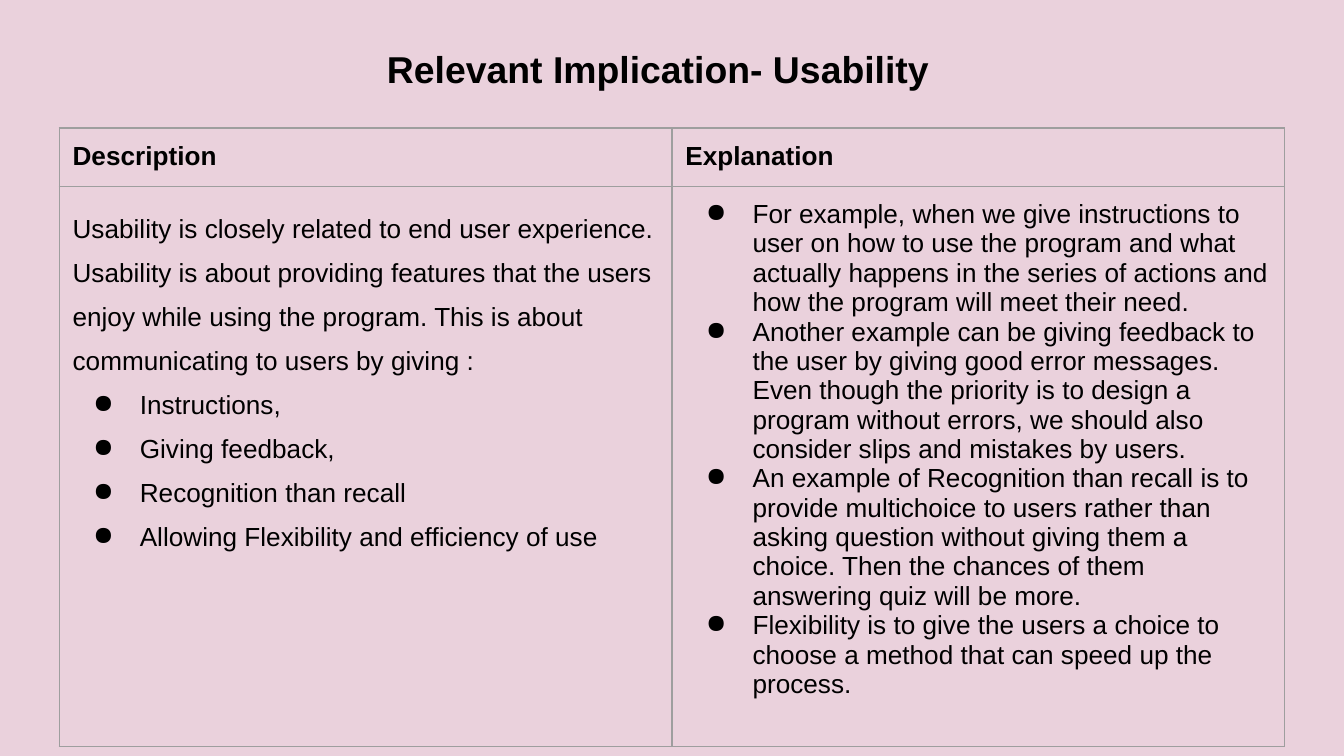
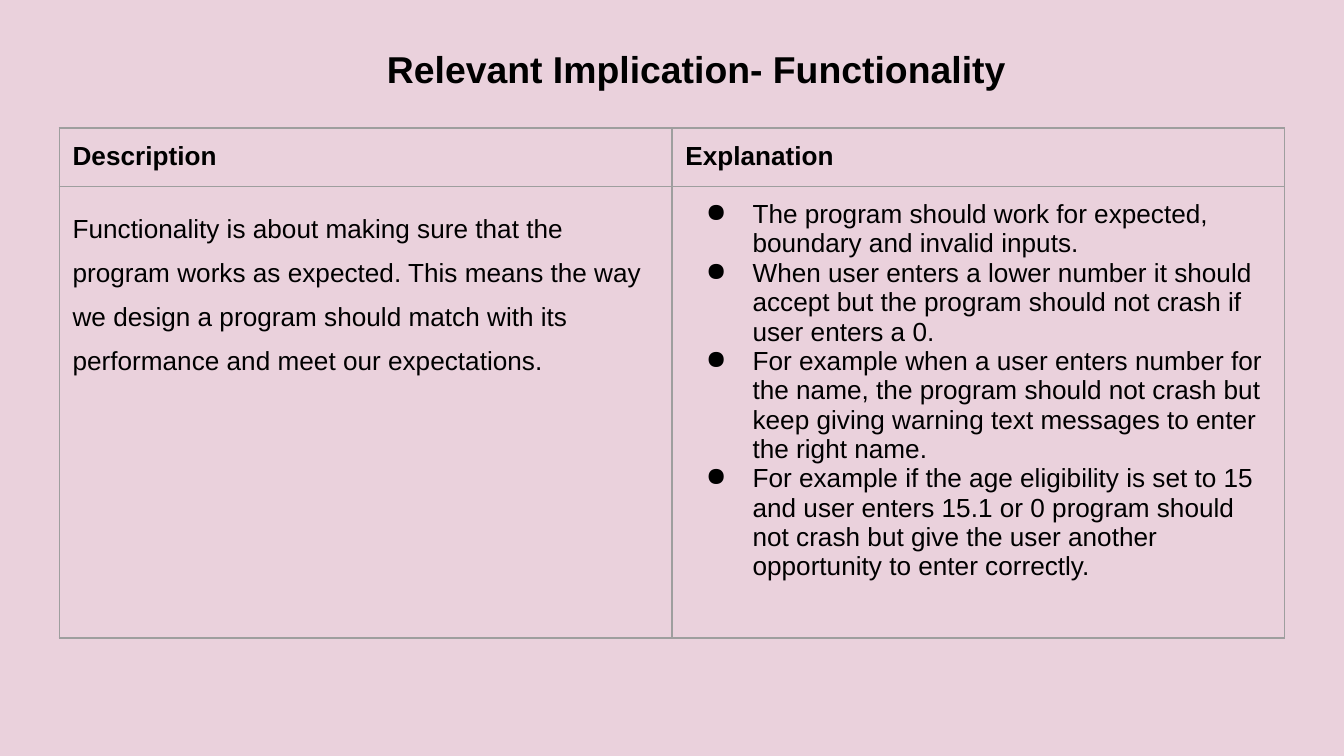
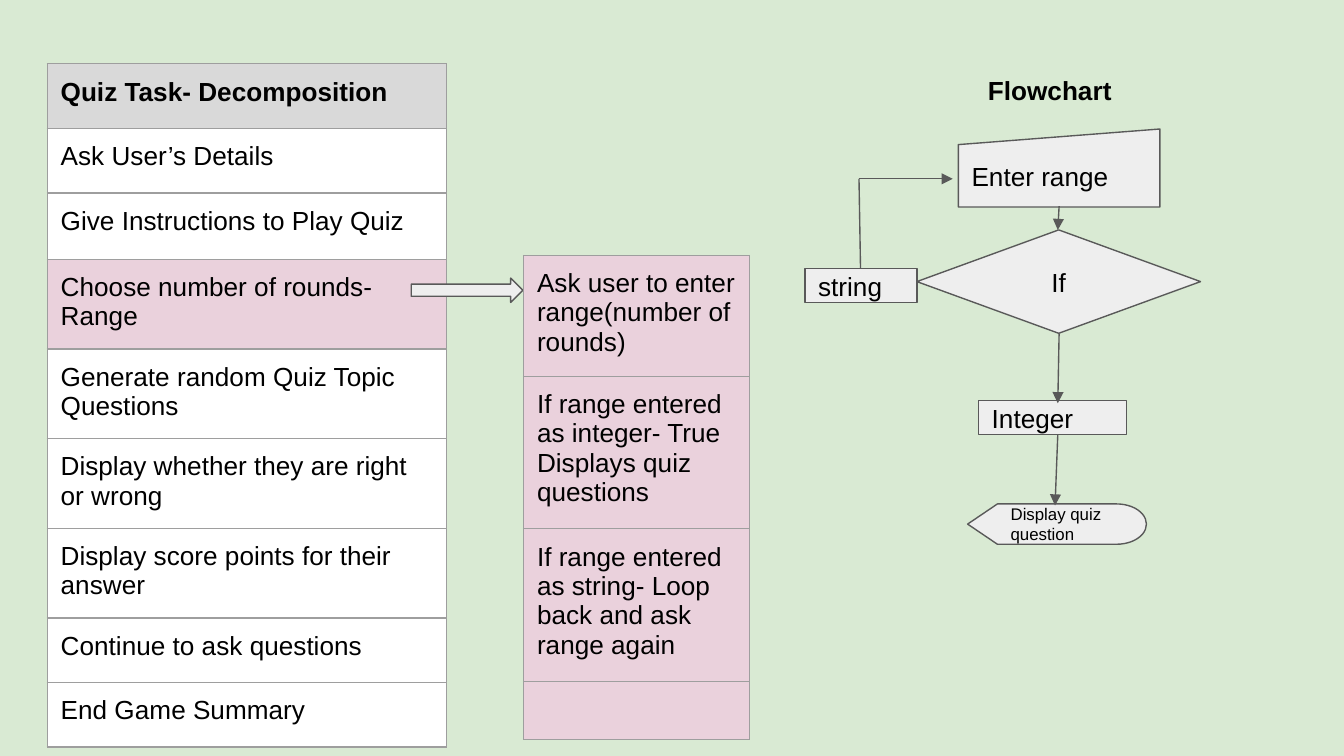
from lxml.etree import SubElement
from pptx import Presentation
from pptx.dml.color import RGBColor
from pptx.enum.shapes import MSO_CONNECTOR as Line, MSO_SHAPE as Shape
from pptx.enum.text import MSO_ANCHOR as Anchor, PP_ALIGN as Align
from pptx.oxml.ns import qn
from pptx.util import Pt

PINK, GREEN, GREY, WHITE = "EAD1DC", "D9EAD3", "D9D9D9", "FFFFFF"
BLACK, NODE, OUTLINE, BORDER = "000000", "EEEEEE", "595959", "9E9E9E"
FONT, BODY, TITLE = "Arial", 14, 20
INSET, LINE_WIDTH = 7.2, 0.75


def color(hex_code):
    """Turn a hex string into a colour."""
    return RGBColor.from_string(hex_code)


def set_insets(target):
    """Give a frame or a cell the shared margin on all sides."""
    target.margin_left = target.margin_right = Pt(INSET)
    target.margin_top = target.margin_bottom = Pt(INSET)


def write(frame, text, size=BODY, bold=False, align=Align.LEFT, spacing=None,
          bullet=False, first=True):
    """Write one formatted paragraph, in a new one unless it is the first."""
    paragraph = frame.paragraphs[0] if first else frame.add_paragraph()
    paragraph.alignment = align
    if spacing:
        paragraph.line_spacing = spacing
    if bullet:
        properties = paragraph._p.get_or_add_pPr()
        properties.set("marL", str(Pt(36)))
        properties.set("indent", str(Pt(-25)))
        tint = SubElement(properties, qn("a:buClr"))
        SubElement(tint, qn("a:srgbClr"), val=BLACK)
        SubElement(properties, qn("a:buChar"), char="●")
    if not text:
        SubElement(paragraph._p, qn("a:endParaRPr"), sz=str(size * 100))
        return
    run = paragraph.add_run()
    run.text = text
    run.font.name, run.font.size, run.font.bold = FONT, Pt(size), bold
    run.font.color.rgb = color(BLACK)


def add_label(slide, box, text, **style):
    """Place a text box."""
    label = slide.shapes.add_textbox(*map(Pt, box)).text_frame
    label.word_wrap = True
    set_insets(label)
    write(label, text, **style)


def add_node(slide, kind, box, text="", **style):
    """Place an outlined grey shape, with its text in the middle."""
    node = slide.shapes.add_shape(kind, *map(Pt, box))
    node.shadow.inherit = False
    node.fill.solid()
    node.fill.fore_color.rgb = color(NODE)
    node.line.color.rgb = color(OUTLINE)
    node.line.width = Pt(LINE_WIDTH)
    if text:
        node.text_frame.word_wrap = True
        node.text_frame.vertical_anchor = Anchor.MIDDLE
        set_insets(node.text_frame)
        write(node.text_frame, text, **style)


def add_link(slide, start, end, arrow=True):
    """Draw a straight line, with an arrowhead at its end if wanted."""
    link = slide.shapes.add_connector(Line.STRAIGHT, *map(Pt, start + end))
    link.line.color.rgb = color(OUTLINE)
    link.line.width = Pt(LINE_WIDTH)
    if arrow:
        SubElement(link.line._get_or_add_ln(), qn("a:tailEnd"), type="triangle")
    SubElement(link._element.spPr, qn("a:effectLst"))


def style_cell(cell, fill=None):
    """Set the margins, borders and fill of a table cell."""
    set_insets(cell)
    properties = cell._tc.get_or_add_tcPr()
    for side in ("lnL", "lnR", "lnT", "lnB"):
        border = SubElement(properties, qn("a:" + side), w=str(Pt(LINE_WIDTH)))
        paint = SubElement(border, qn("a:solidFill"))
        SubElement(paint, qn("a:srgbClr"), val=BORDER)
    if fill:
        cell.fill.solid()
        cell.fill.fore_color.rgb = color(fill)
    else:
        cell.fill.background()


def add_grid(slide, left, top, width, heights, columns=1):
    """Place a plain table with equal columns and the given row heights."""
    grid = slide.shapes.add_table(len(heights), columns, Pt(left), Pt(top),
                                  Pt(width), Pt(sum(heights))).table
    grid.first_row = grid.horz_banding = False
    for row, height in zip(grid.rows, heights):
        row.height = Pt(height)
    return grid


def add_steps(slide, left, top, width, steps):
    """Place a one-column table of (lines, height, fill, bold) steps."""
    grid = add_grid(slide, left, top, width, [step[1] for step in steps])
    for index, (lines, _, fill, bold) in enumerate(steps):
        cell = grid.cell(index, 0)
        style_cell(cell, fill)
        for number, line in enumerate(lines):
            write(cell.text_frame, line, bold=bold, first=number == 0)


def new_slide(deck, background):
    """Add a blank slide with a plain background."""
    slide = deck.slides.add_slide(deck.slide_layouts[6])
    slide.background.fill.solid()
    slide.background.fill.fore_color.rgb = color(background)
    return slide


def implication_slide(deck, topic, title_width, body_height, intro, points,
                      examples):
    """Build a slide that describes and explains one implication."""
    slide = new_slide(deck, PINK)
    add_label(slide, (200.2, 17.3, title_width, 32.4),
              "Relevant Implication- " + topic, size=TITLE, bold=True)
    grid = add_grid(slide, 31.7, 68.6, 656.6, (30, body_height), 2)
    for cell in grid.iter_cells():
        style_cell(cell)
    for column, heading in enumerate(("Description", "Explanation")):
        write(grid.cell(0, column).text_frame, heading, bold=True)
    description = grid.cell(1, 0).text_frame
    write(description, intro, spacing=1.5)
    for point in points:
        write(description, point, spacing=1.5, bullet=True, first=False)
    for index, example in enumerate(examples):
        write(grid.cell(1, 1).text_frame, example, bullet=True,
              first=index == 0)


def add_flowchart(slide, left, top):
    """Draw the range check flowchart from its top left corner."""
    def box(x, y, width, height):
        return left + x, top + y, width, height

    def point(x, y):
        return left + x, top + y

    add_label(slide, box(91, 0, 93.6, 31.7), "Flowchart", bold=True)
    add_node(slide, Shape.FLOWCHART_DECISION, box(60, 90.8, 152, 55.4), "If",
             align=Align.CENTER)
    add_node(slide, Shape.FLOWCHART_MANUAL_INPUT, box(82.2, 36.7, 108, 41.8),
             "Enter range")
    add_node(slide, Shape.RECTANGLE, box(93, 182.3, 79.2, 18), "Integer")
    add_node(slide, Shape.RECTANGLE, box(0, 111.6, 60, 18), "string")
    add_node(slide, Shape.FLOWCHART_DISPLAY, box(87.2, 237.6, 95.8, 21.6),
             "Display quiz question", size=9)
    add_link(slide, point(136.2, 146.2), point(135.5, 183.6))
    add_link(slide, point(29.8, 111.6), point(29, 63.4), arrow=False)
    add_link(slide, point(29, 63.4), point(79.2, 63.4))
    add_link(slide, point(136.2, 78), point(135.5, 90.8))
    add_link(slide, point(135.5, 200.3), point(134, 238.4))


def decomposition_slide(deck):
    """Build the slide with the quiz steps and the flowchart."""
    slide = new_slide(deck, GREEN)
    single, double = 34.6, 45.8
    add_steps(slide, 25.3, 34.2, 213.8, [
        (["Quiz Task- Decomposition"], single, GREY, True),
        (["Ask User’s Details"], single, WHITE, False),
        (["Give Instructions to Play Quiz"], 35.5, WHITE, False),
        (["Choose number of rounds- Range"], double, PINK, False),
        (["Generate random Quiz Topic Questions"], double, WHITE, False),
        (["Display whether they are right or wrong"], double, WHITE, False),
        (["Display score points for their answer"], double, WHITE, False),
        (["Continue to ask questions"], single, WHITE, False),
        (["End Game Summary"], single, WHITE, False),
    ])
    add_node(slide, Shape.RIGHT_ARROW, (220.3, 149, 59.8, 13))
    add_steps(slide, 280.5, 136.8, 121, [
        (["Ask user to enter range(number of rounds)"], 61.5, PINK, False),
        (["If range entered as integer- True", "Displays quiz questions"],
         77.3, PINK, False),
        (["If range entered as string- Loop back and ask range again"],
         77.3, PINK, False),
        ([""], 30, PINK, False),
    ])
    add_flowchart(slide, 431.2, 32.4)


def main():
    """Build and save the deck."""
    deck = Presentation()
    deck.slide_width, deck.slide_height = Pt(720), Pt(405)
    implication_slide(
        deck, "Usability", 334, 282,
        "Usability is closely related to end user experience. Usability is "
        "about providing features that the users enjoy while using the "
        "program. This is about communicating to users by giving :",
        ["Instructions,", "Giving feedback,", "Recognition than recall",
         "Allowing Flexibility and efficiency of use"],
        ["For example, when we give instructions to user on how to use the "
         "program and what actually happens in the series of actions and how "
         "the program will meet their need.",
         "Another example can be giving feedback to the user by giving good "
         "error messages. Even though the priority is to design a program "
         "without errors, we should also consider slips and mistakes by "
         "users.",
         "An example of Recognition than recall is to provide multichoice to "
         "users rather than asking question without giving them a choice. "
         "Then the chances of them answering quiz will be more.",
         "Flexibility is to give the users a choice to choose a method that "
         "can speed up the process."])
    implication_slide(
        deck, "Functionality", 381.6, 242,
        "Functionality is about making sure that the program works as "
        "expected. This means the way we design a program should match with "
        "its performance and meet our expectations.",
        [],
        ["The program should work for expected, boundary and invalid inputs.",
         "When user enters a lower number it should accept but the program "
         "should not crash if user enters a 0.",
         "For example when a user enters number for the name, the program "
         "should not crash but keep giving warning text messages to enter "
         "the right name.",
         "For example if the age eligibility is set to 15 and user enters "
         "15.1 or 0 program should not crash but give the user another "
         "opportunity to enter correctly."])
    decomposition_slide(deck)
    deck.save("out.pptx")


main()
